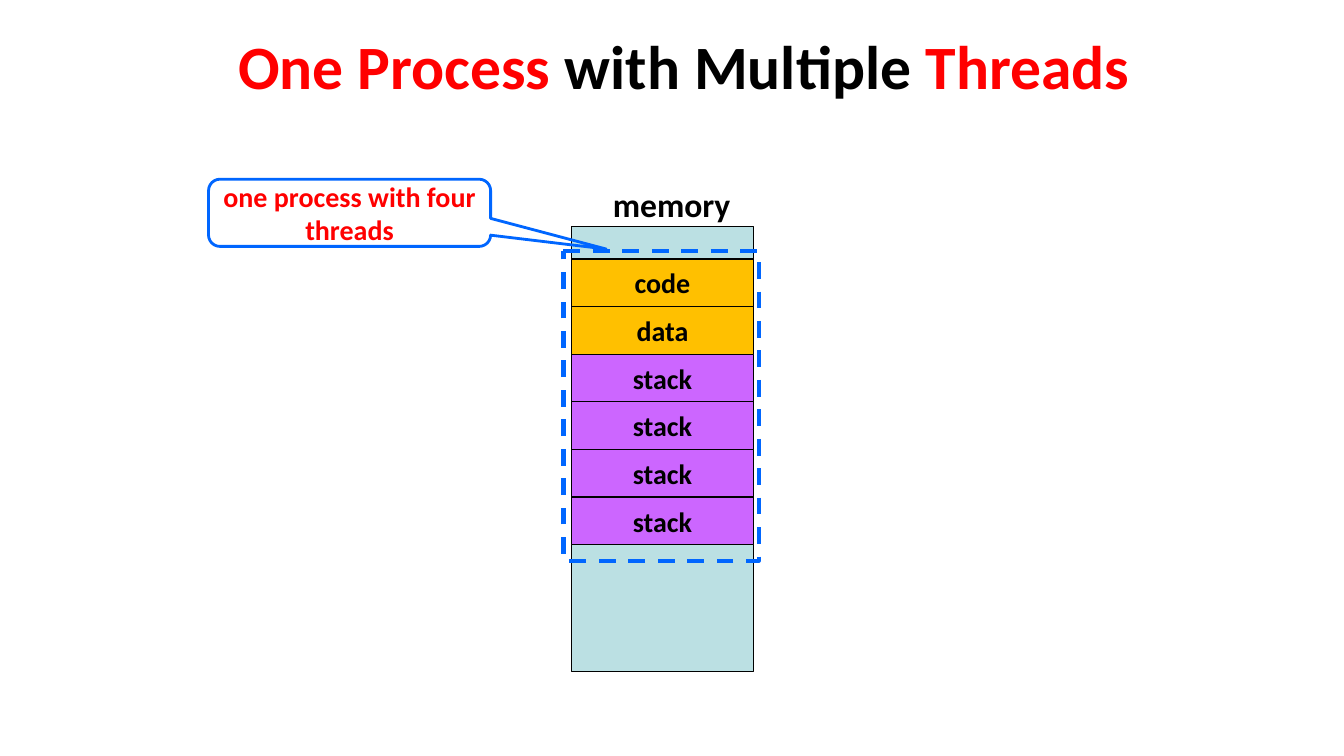
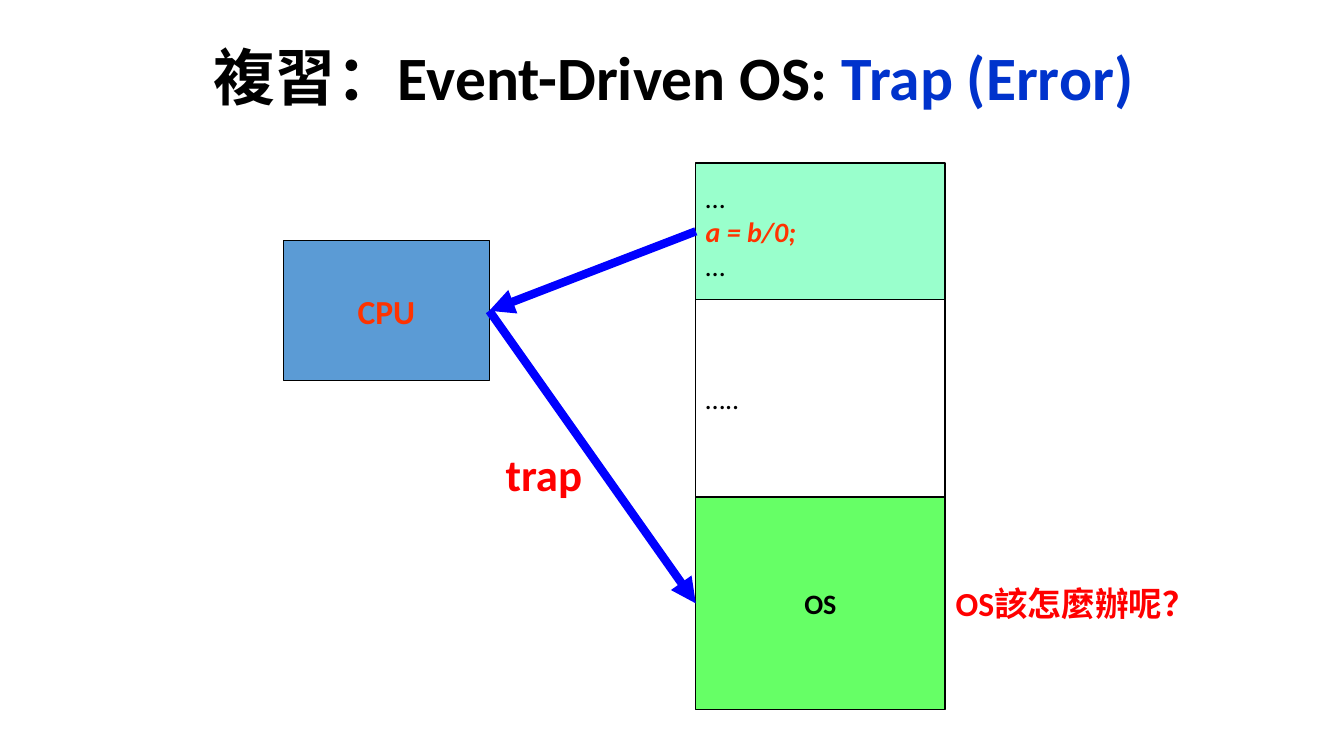
from dataclasses import dataclass

from lxml.etree import SubElement
from pptx import Presentation
from pptx.dml.color import RGBColor
from pptx.enum.dml import MSO_LINE
from pptx.enum.shapes import MSO_CONNECTOR, MSO_SHAPE
from pptx.enum.text import MSO_ANCHOR, MSO_AUTO_SIZE, PP_ALIGN
from pptx.oxml.ns import qn
from pptx.util import Pt


@dataclass(frozen=True)
class Theme:
    font: str = "Calibri"
    title_size: int = 44
    callout_size: int = 32
    label_size: int = 24
    body_size: int = 20
    black: str = "000000"
    red: str = "FF0000"
    orange_red: str = "FF3300"
    title_blue: str = "0033CC"
    outline_blue: str = "0066FF"
    arrow_blue: str = "0000FF"
    memory: str = "BBE0E3"
    shared: str = "FFC000"
    stack: str = "CC66FF"
    program: str = "99FFCC"
    system: str = "66FF66"
    cpu: str = "5B9BD5"


THEME = Theme()


@dataclass(frozen=True)
class Box:
    """A rectangle in points."""
    left: float
    top: float
    width: float
    height: float

    def inner(self, dx, dy, width, height):
        return Box(self.left + dx, self.top + dy, width, height)

    def lengths(self):
        return Pt(self.left), Pt(self.top), Pt(self.width), Pt(self.height)


def rgb(color):
    return RGBColor.from_string(color)


def write_text(frame, paragraphs, *, size=THEME.body_size, color=THEME.black, bold=True,
               italic=False, align=PP_ALIGN.CENTER, anchor=MSO_ANCHOR.MIDDLE):
    """Each paragraph is a list of (text, overrides) runs."""
    frame.word_wrap = True
    frame.auto_size = MSO_AUTO_SIZE.NONE
    frame.vertical_anchor = anchor
    for index, runs in enumerate(paragraphs):
        paragraph = frame.add_paragraph() if index else frame.paragraphs[0]
        paragraph.alignment = align
        for text, overrides in runs:
            style = {"color": color, "bold": bold, "italic": italic} | overrides
            run = paragraph.add_run()
            run.text = text
            run.font.name = THEME.font
            run.font.size = Pt(size)
            run.font.bold = style["bold"]
            run.font.italic = style["italic"]
            run.font.color.rgb = rgb(style["color"])


def add_label(slide, box, text, **text_format):
    label = slide.shapes.add_textbox(*box.lengths())
    write_text(label.text_frame, [[(text, {})]], anchor=MSO_ANCHOR.TOP, **text_format)


def add_block(slide, box, paragraphs=(), *, kind=MSO_SHAPE.RECTANGLE, fill=None,
              line=THEME.black, line_width=0.75, **text_format):
    block = slide.shapes.add_shape(kind, *box.lengths())
    block.shadow.inherit = False
    if fill:
        block.fill.solid()
        block.fill.fore_color.rgb = rgb(fill)
    else:
        block.fill.background()
    block.line.color.rgb = rgb(line)
    block.line.width = Pt(line_width)
    write_text(block.text_frame, paragraphs, **text_format)
    return block


def add_arrow(slide, start, start_site, end, end_site):
    arrow = slide.shapes.add_connector(MSO_CONNECTOR.STRAIGHT, 0, 0, 0, 0)
    arrow.begin_connect(start, start_site)
    arrow.end_connect(end, end_site)
    arrow.line.color.rgb = rgb(THEME.arrow_blue)
    arrow.line.width = Pt(6)
    SubElement(arrow.line._get_or_add_ln(), qn("a:tailEnd"), type="triangle")
    SubElement(arrow._element.spPr, qn("a:effectLst"))


def add_titled_slide(deck, box, runs):
    slide = deck.slides.add_slide(deck.slide_layouts[5])
    title = slide.shapes.title
    title.left, title.top, title.width, title.height = box.lengths()
    write_text(title.text_frame, [runs], size=THEME.title_size)
    return slide


def draw_memory(slide, box):
    """Memory column with the segments of one process, outlined by dashes."""
    segment_height = 34
    segments = [("code", THEME.shared), ("data", THEME.shared)] + [("stack", THEME.stack)] * 4
    add_label(slide, box.inner(9.5, -34, 124.5, 36), "memory", size=THEME.label_size)
    add_block(slide, box, fill=THEME.memory)
    for index, (name, fill) in enumerate(segments):
        segment = box.inner(0, 23 + index * segment_height, box.width, segment_height)
        add_block(slide, segment, [[(name, {})]], fill=fill)
    process = add_block(slide, box.inner(-5.5, 17.5, 139.5, 221),
                        kind=MSO_SHAPE.FLOWCHART_PROCESS,
                        line=THEME.outline_blue, line_width=3)
    process.line.dash_style = MSO_LINE.DASH


def draw_callout(slide, box, text):
    callout = add_block(slide, box, [[(text, {})]], kind=MSO_SHAPE.ROUNDED_RECTANGULAR_CALLOUT,
                        line=THEME.outline_blue, line_width=2, color=THEME.red)
    for index, value in enumerate((0.91, 0.54, 0.17)):
        callout.adjustments[index] = value


def draw_address_space(slide, box):
    """Stack program, unused space and OS; return the program and OS blocks."""
    left = PP_ALIGN.LEFT
    dots = [("…", {})]
    fault = [("a = b/0;", {"color": THEME.orange_red, "bold": True, "italic": True})]
    regions = [
        (97.5, [dots, fault, dots], {"fill": THEME.program, "align": left, "bold": False}),
        (141, [[("…..", {})]], {"align": left, "bold": False}),
        (152, [[("OS", {})]], {"fill": THEME.system}),
    ]
    blocks, offset = [], 0
    for height, paragraphs, look in regions:
        region = box.inner(0, offset, box.width, height)
        blocks.append(add_block(slide, region, paragraphs, line_width=1, **look))
        offset += height
    return blocks[0], blocks[-1]


def draw_trap(slide, box):
    """CPU at the left, address space at the right, joined by the trap arrows."""
    program, system = draw_address_space(slide, box.inner(294.5, 0, 178, box.height))
    cpu = add_block(slide, box.inner(0, 55.5, 147, 100), [[("CPU", {})]], fill=THEME.cpu,
                    line_width=1, size=THEME.label_size, color=THEME.orange_red)
    add_arrow(slide, program, 1, cpu, 3)
    add_arrow(slide, cpu, 3, system, 1)
    add_label(slide, box.inner(146, 199, 80, 46), "trap",
              size=THEME.callout_size, color=THEME.red)
    add_label(slide, box.inner(473, 296.5, 187, 65), "OS該怎麼辦呢？",
              size=THEME.label_size, color=THEME.red, align=PP_ALIGN.LEFT)


def build_threads_slide(deck):
    red = {"color": THEME.red}
    slide = add_titled_slide(deck, Box(139.5, 1.5, 698, 90), [
        ("One Process", red), (" with Multiple ", {}), ("Threads", red)])
    draw_memory(slide, Box(408, 162, 130.5, 317.5))
    draw_callout(slide, Box(149, 128, 201.5, 48), "one process with four threads")


def build_trap_slide(deck):
    slide = add_titled_slide(deck, Box(49, 9.5, 864, 90), [
        ("複習：Event-Driven OS: ", {}), ("Trap (Error)", {"color": THEME.title_blue})])
    draw_trap(slide, Box(202.5, 116.5, 660, 390.5))


def main():
    deck = Presentation()
    deck.slide_width, deck.slide_height = Pt(960), Pt(540)
    build_threads_slide(deck)
    build_trap_slide(deck)
    deck.save("out.pptx")


if __name__ == "__main__":
    main()
